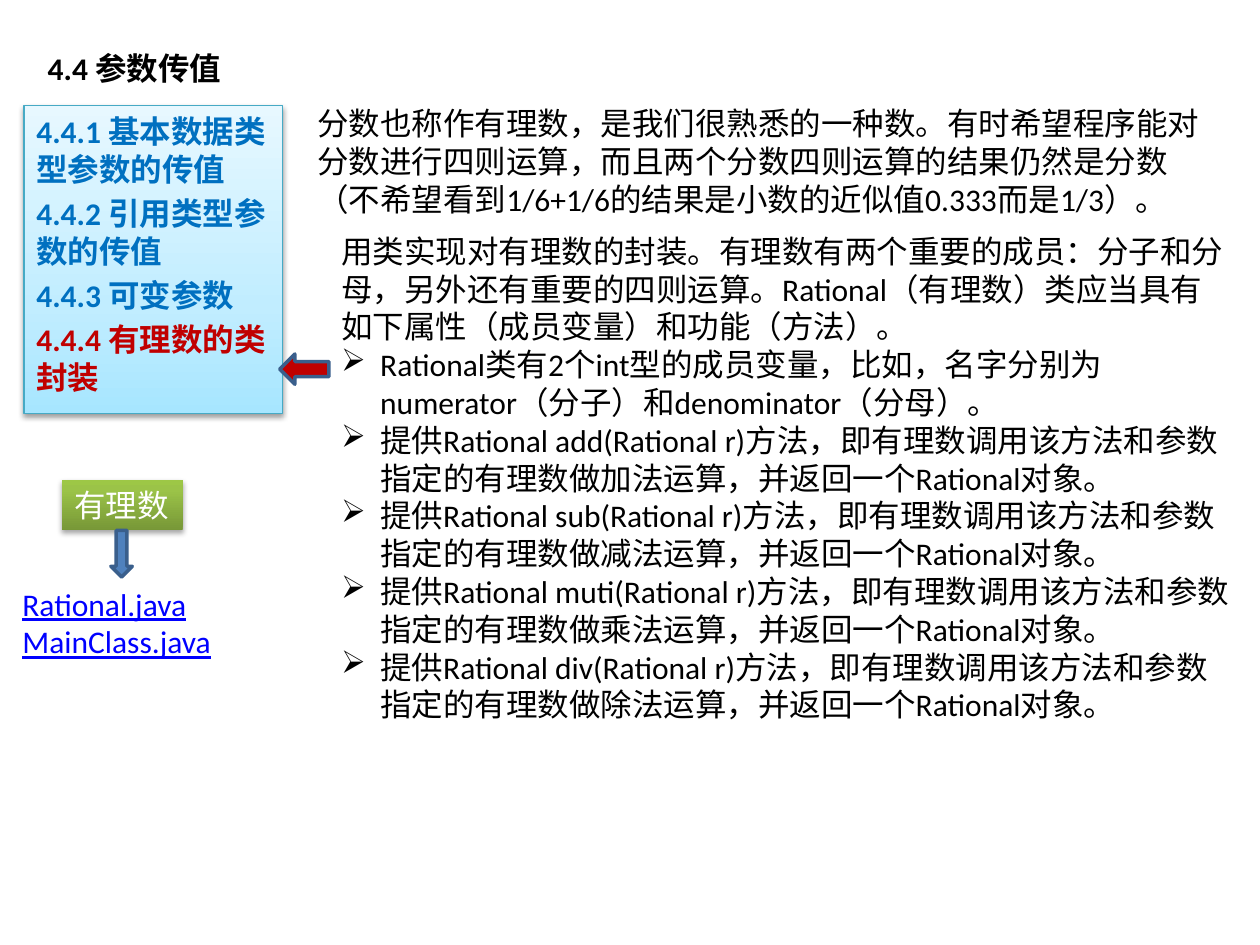
from dataclasses import dataclass

from lxml import etree
from pptx import Presentation
from pptx.dml.color import RGBColor
from pptx.enum.shapes import MSO_SHAPE
from pptx.enum.text import MSO_ANCHOR, PP_ALIGN
from pptx.oxml.ns import qn
from pptx.util import Inches, Pt

RECTANGLE = MSO_SHAPE.RECTANGLE
LEFT_ARROW = MSO_SHAPE.LEFT_ARROW
DOWN_ARROW = MSO_SHAPE.DOWN_ARROW
TOP = MSO_ANCHOR.TOP
LEFT = PP_ALIGN.LEFT


@dataclass(frozen=True)
class Theme:
    font: str = "Calibri"
    size: float = 18
    text: str = "000000"
    light: str = "FFFFFF"
    topic: str = "0070C0"
    current: str = "C00000"
    link: str = "0000FF"
    arrow: str = "4F81BD"
    arrow_line: str = "3A5F8C"
    panel_line: str = "46AAC5"
    # Gradient stops as (percent, colour), from bottom to top
    panel: tuple = ((0, "A7E6FF"), (35, "C1EDFF"), (100, "E7F8FF"))
    label: tuple = ((0, "779737"), (80, "9BC348"), (100, "9DC746"))


THEME = Theme()


def rgb(color):
    return RGBColor.from_string(color)


def add_child(parent, tag, **attributes):
    values = {name: str(value) for name, value in attributes.items()}
    return etree.SubElement(parent, qn(tag), values)


def add_color(parent, color):
    return add_child(parent, "a:srgbClr", val=color)


def write(box, lines, *, colors=(THEME.text,), bold=False, underline=False,
          gap=0, bullet_from=None, wrap=True):
    """Fill a box, one paragraph a line; the last colour serves the rest."""
    frame = box.text_frame
    frame.word_wrap = wrap
    frame.vertical_anchor = TOP
    for index, line in enumerate(lines):
        para = frame.paragraphs[0] if index == 0 else frame.add_paragraph()
        para.alignment = LEFT
        if index and gap:
            para.space_before = Pt(gap)
        if bullet_from is not None and index >= bullet_from:
            add_bullet(para)
        span = para.add_run()
        span.text = line
        span.font.name = THEME.font
        span.font.size = Pt(THEME.size)
        span.font.bold = bold
        span.font.underline = underline
        span.font.color.rgb = rgb(colors[min(index, len(colors) - 1)])


def add_bullet(para, indent=0.31):
    properties = para._p.get_or_add_pPr()
    properties.set("marL", str(Inches(indent)))
    properties.set("indent", str(-Inches(indent)))
    add_child(properties, "a:buChar", char="➢")


def add_text(page, place, lines, **text_format):
    box = page.shapes.add_textbox(*map(Inches, place))
    write(box, lines, **text_format)


def add_gradient_box(page, place, stops, lines, *, line=None, opacity=38,
                     distance=1.6, **text_format):
    """Rectangle with an upward gradient and a soft shadow below."""
    box = page.shapes.add_shape(RECTANGLE, *map(Inches, place))
    box.fill.gradient()
    box.fill.gradient_angle = 90
    stop_list = box._element.spPr.find(".//" + qn("a:gsLst"))
    for old_stop in list(stop_list):
        stop_list.remove(old_stop)
    for percent, color in stops:
        add_color(add_child(stop_list, "a:gs", pos=percent * 1000), color)
    if line:
        box.line.color.rgb = rgb(line)
        box.line.width = Pt(0.75)
    else:
        box.line.fill.background()
    box.shadow.inherit = False
    effects = box._element.spPr.find(qn("a:effectLst"))
    shadow = add_child(effects, "a:outerShdw", blurRad=Pt(3.1),
                       dist=Pt(distance), dir=90 * 60000, rotWithShape=0)
    add_child(add_color(shadow, "000000"), "a:alpha", val=opacity * 1000)
    write(box, lines, **text_format)


def add_arrow(page, kind, place, color):
    arrow = page.shapes.add_shape(kind, *map(Inches, place))
    arrow.fill.solid()
    arrow.fill.fore_color.rgb = rgb(color)
    arrow.line.color.rgb = rgb(THEME.arrow_line)
    arrow.line.width = Pt(2)
    arrow.shadow.inherit = False


def main():
    deck = Presentation()
    deck.slide_width, deck.slide_height = Inches(10), Inches(7.5)
    page = deck.slides.add_slide(deck.slide_layouts[6])

    # Section title
    add_text(page, (0.28, 0.34, 4.49, 0.4), ["4.4 参数传值"], bold=True)

    # Topic list with the current topic marked
    topics = ["4.4.1 基本数据类型参数的传值", "4.4.2 引用类型参数的传值",
              "4.4.3 可变参数", "4.4.4 有理数的类封装"]
    add_gradient_box(page, (0.19, 0.84, 2.05, 2.44), THEME.panel, topics,
                     line=THEME.panel_line, bold=True, gap=3.6,
                     colors=[THEME.topic] * 3 + [THEME.current])
    add_arrow(page, LEFT_ARROW, (2.22, 2.81, 0.39, 0.24), THEME.current)

    # Introduction
    add_text(page, (2.42, 0.78, 7.31, 1.01), [
        "分数也称作有理数，是我们很熟悉的一种数。有时希望程序能对分数进行四则运算，"
        "而且两个分数四则运算的结果仍然是分数"
        "（不希望看到1/6+1/6的结果是小数的近似值0.333而是1/3）。"])

    # Example label and its source files
    add_gradient_box(page, (0.49, 3.81, 0.96, 0.4), THEME.label, ["有理数"],
                     opacity=35, distance=1.8, colors=[THEME.light], wrap=False)
    add_arrow(page, DOWN_ARROW, (0.88, 4.21, 0.17, 0.37), THEME.arrow)
    add_text(page, (0.08, 4.59, 2.34, 0.71),
             ["Rational.java", "MainClass.java"],
             colors=[THEME.link], underline=True)

    # Class description: members, then one method per operation
    operations = [("add", "加"), ("sub", "减"), ("muti", "乘"), ("div", "除")]
    methods = [
        f"提供Rational {name}(Rational r)方法，即有理数调用该方法和参数指定的"
        f"有理数做{word}法运算，并返回一个Rational对象。"
        for name, word in operations]
    add_text(page, (2.61, 1.79, 7.27, 4.04), [
        "用类实现对有理数的封装。有理数有两个重要的成员：分子和分母，"
        "另外还有重要的四则运算。Rational（有理数）类应当具有如下属性"
        "（成员变量）和功能（方法）。",
        "Rational类有2个int型的成员变量，比如，名字分别为"
        "numerator（分子）和denominator（分母）。",
        *methods], bullet_from=1)

    deck.save("out.pptx")


if __name__ == "__main__":
    main()
